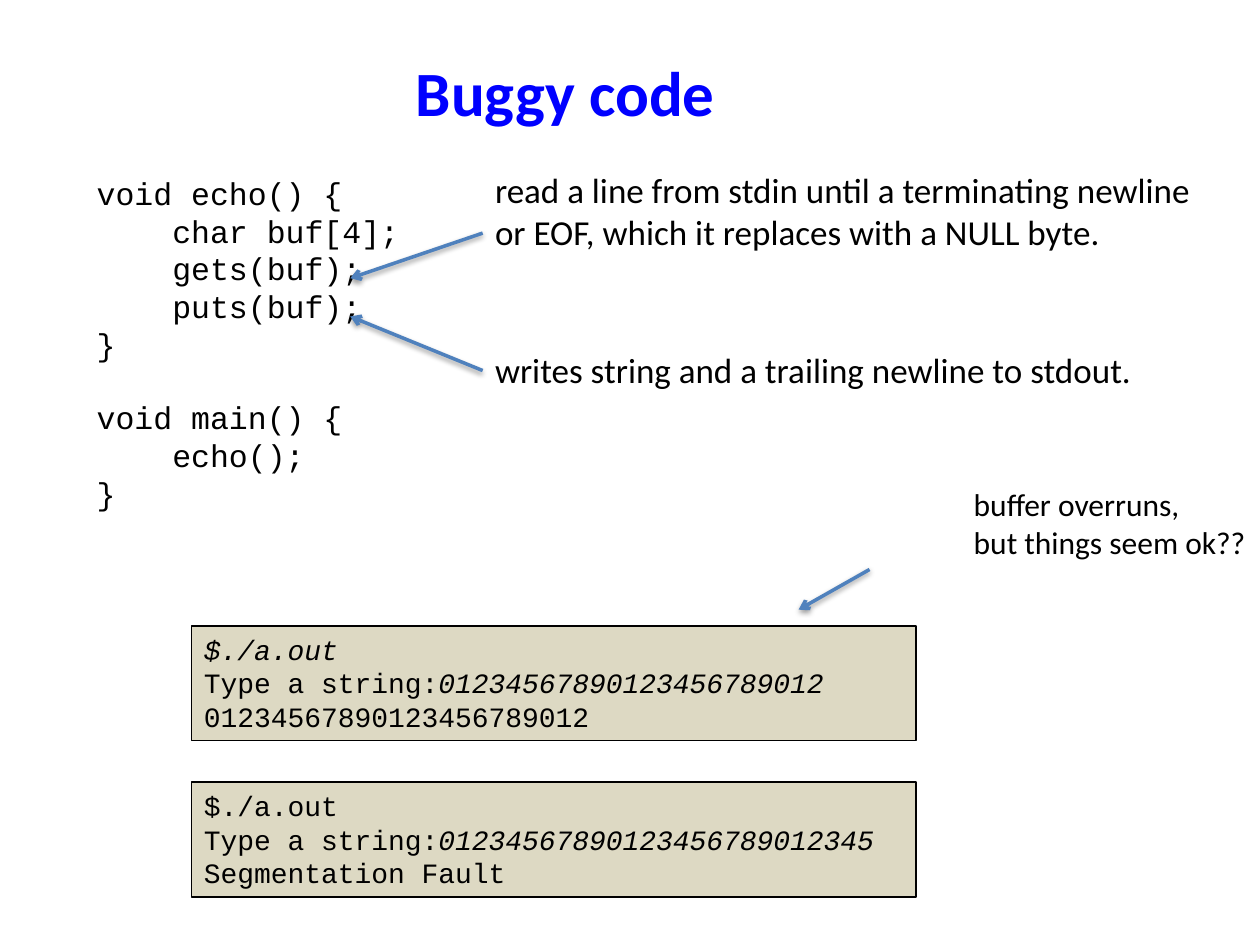
from lxml import etree
from pptx import Presentation
from pptx.dml.color import RGBColor
from pptx.enum.shapes import MSO_CONNECTOR, MSO_SHAPE
from pptx.enum.text import MSO_ANCHOR, MSO_AUTO_SIZE, PP_ALIGN
from pptx.oxml import parse_xml
from pptx.oxml.ns import nsdecls, qn
from pptx.util import Cm, Pt

STRAIGHT = MSO_CONNECTOR.STRAIGHT
RECTANGLE = MSO_SHAPE.RECTANGLE
MIDDLE, TOP = MSO_ANCHOR.MIDDLE, MSO_ANCHOR.TOP
CENTER, LEFT = PP_ALIGN.CENTER, PP_ALIGN.LEFT
FIT_SHAPE, NO_FIT = MSO_AUTO_SIZE.SHAPE_TO_FIT_TEXT, MSO_AUTO_SIZE.NONE
LEFT_SIDE = 1

BLACK = RGBColor(0, 0, 0)
WHITE = RGBColor(255, 255, 255)
TITLE_BLUE = RGBColor(0, 0, 255)
ARROW_BLUE = RGBColor(0x4F, 0x81, 0xBD)
TERMINAL_TAN = RGBColor(0xDD, 0xD9, 0xC3)
BODY_FONT, CODE_FONT = "Calibri", "Courier New"

ECHO_CODE = ["void echo() {", "    char buf[4];  ", "    gets(buf);",
             "    puts(buf);", "}"]
MAIN_CODE = ["void main() {", "    echo();", "}"]
# Each terminal line is a list of (text, italic) pieces.
OVERRUN_SESSION = [
    [("$./a.out", True)],
    [("Type a string:", False), ("01234567890123456789012", True)],
    [("01234567890123456789012", False)],
]
CRASH_SESSION = [
    [("$./a.out", False)],
    [("Type a string:", False), ("01234567890123456789012345", True)],
    [("Segmentation Fault", False)],
]


def write_text(shape, lines, size, font=BODY_FONT, color=BLACK, bold=False,
               align=LEFT, anchor=TOP, wrap=True, fit=FIT_SHAPE):
    """Fill a shape; a line is a string or a list of (text, italic) pieces."""
    frame = shape.text_frame
    frame.word_wrap = wrap
    frame.auto_size = fit
    frame.vertical_anchor = anchor
    for index, line in enumerate(lines):
        paragraph = frame.add_paragraph() if index else frame.paragraphs[0]
        paragraph.alignment = align
        pieces = [(line, False)] if isinstance(line, str) else line
        for text, italic in pieces:
            run = paragraph.add_run()
            run.text = text
            run.font.name = font
            run.font.size = Pt(size)
            run.font.bold = bold
            run.font.italic = italic
            run.font.color.rgb = color
    return frame


def add_panel(slide, box, fill, outline=None):
    panel = slide.shapes.add_shape(RECTANGLE, *map(Cm, box))
    panel.shadow.inherit = False
    panel.fill.solid()
    panel.fill.fore_color.rgb = fill
    if outline is None:
        panel.line.fill.background()
    else:
        panel.line.color.rgb = outline
        panel.line.width = Pt(1)
    return panel


def add_arrow(slide, start, end):
    """Draw a blue arrow with a soft shadow below it."""
    arrow = slide.shapes.add_connector(STRAIGHT, *map(Cm, start + end))
    arrow.line.color.rgb = ARROW_BLUE
    arrow.line.width = Pt(2)
    etree.SubElement(arrow.line._get_or_add_ln(), qn("a:tailEnd"), type="arrow")
    arrow._element.spPr.append(parse_xml(
        f'<a:effectLst {nsdecls("a")}>'
        '<a:outerShdw blurRad="40000" dist="20000" dir="5400000" rotWithShape="0">'
        '<a:srgbClr val="000000"><a:alpha val="38000"/></a:srgbClr>'
        '</a:outerShdw></a:effectLst>'))
    return arrow


def place_title(slide, box, text):
    title = slide.shapes.title
    title.left, title.top, title.width, title.height = map(Cm, box)
    write_text(title, [text], 36, color=TITLE_BLUE, bold=True,
               align=CENTER, anchor=MIDDLE, fit=NO_FIT)


def add_code(slide, box):
    listing = add_panel(slide, box, WHITE)
    frame = write_text(listing, ECHO_CODE + MAIN_CODE, 18, font=CODE_FONT)
    frame.paragraphs[len(ECHO_CODE)].space_before = Pt(20.4)


def add_terminal(slide, box, session):
    terminal = add_panel(slide, box, TERMINAL_TAN, BLACK)
    write_text(terminal, session, 16, font=CODE_FONT)


def add_note(slide, box, lines, tail, reach, size=20, wrap=True, joined=False):
    """Add a note and its arrow; tail is relative to the box, reach to tail."""
    left, top = box[:2]
    start = (left + tail[0], top + tail[1])
    arrow = add_arrow(slide, start, (start[0] + reach[0], start[1] + reach[1]))
    note = slide.shapes.add_textbox(*map(Cm, box))
    write_text(note, lines, size, wrap=wrap)
    if joined:
        arrow.begin_connect(note, LEFT_SIDE)


def main():
    presentation = Presentation()
    presentation.slide_width, presentation.slide_height = Cm(25.4), Cm(19.05)
    slide = presentation.slides.add_slide(presentation.slide_layouts[5])

    place_title(slide, (2.49, 1.04, 17.81, 1.6), "Buggy code")
    add_code(slide, (1.7, 3.38, 8.89, 7.16))
    for top, session in ((12.62, OVERRUN_SESSION), (15.77, CRASH_SESSION)):
        add_terminal(slide, (3.86, top, 14.6, 2.31), session)

    add_note(slide, (9.73, 3.28, 14.55, 1.96),
             ["read a line from stdin until a terminating newline "
              "or EOF, which it replaces with a NULL byte."],
             tail=(0, 1.42), reach=(-2.67, 0.91))
    add_note(slide, (9.73, 6.91, 14.55, 1.12),
             ["writes string and a trailing newline to stdout."],
             tail=(0, 0.56), reach=(-2.67, -1.09), joined=True)
    add_note(slide, (19.38, 9.65, 6.05, 1.8),
             ["buffer overruns,", "but things seem ok??"],
             tail=(-1.85, 1.83), reach=(-1.43, 0.81), size=18, wrap=False)

    presentation.save("out.pptx")


if __name__ == "__main__":
    main()
